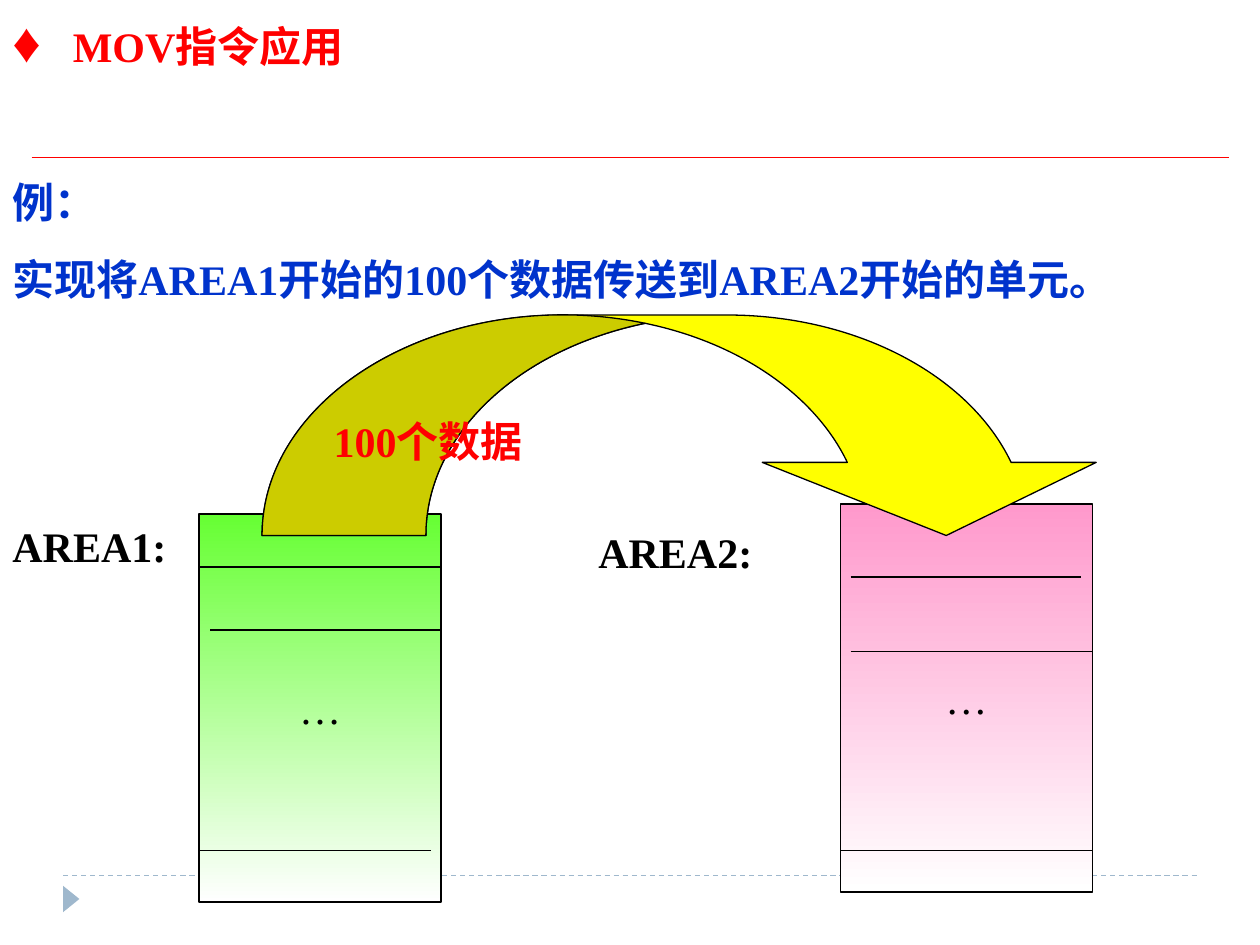
import math

from lxml import etree
from pptx import Presentation
from pptx.dml.color import RGBColor
from pptx.enum.dml import MSO_LINE
from pptx.enum.shapes import MSO_CONNECTOR, MSO_SHAPE
from pptx.enum.text import MSO_ANCHOR, MSO_AUTO_SIZE, PP_ALIGN
from pptx.oxml.ns import qn
from pptx.util import Inches, Pt

STRAIGHT = MSO_CONNECTOR.STRAIGHT
DASH = MSO_LINE.DASH
RECT = MSO_SHAPE.RECTANGLE
TRIANGLE = MSO_SHAPE.ISOSCELES_TRIANGLE
MIDDLE = MSO_ANCHOR.MIDDLE
FIT = MSO_AUTO_SIZE.SHAPE_TO_FIT_TEXT
CENTER = PP_ALIGN.CENTER
SERIF = "Times New Roman"
COLORS = {
    "black": "000000", "white": "FFFFFF", "red": "FF0000", "blue": "0033CC",
    "green": "66FF33", "pink": "FF99CC", "yellow": "FFFF00", "steel": "9FB8CD",
}


def rgb(name):
    return RGBColor.from_string(COLORS[name])


def add_run(p, text, color, bold=True, size=24, font=SERIF):
    r = p.add_run()
    r.text = text
    r.font.name = font
    r.font.size = Pt(size)
    r.font.bold = bold
    r.font.color.rgb = rgb(color)


def add_line(s, x1, y1, x2, y2, color="black", dash=None):
    c = s.shapes.add_connector(STRAIGHT, Inches(x1), Inches(y1), Inches(x2), Inches(y2))
    c.line.color.rgb = rgb(color)
    c.line.width = Pt(0.75)
    if dash:
        c.line.dash_style = dash
    etree.SubElement(c._element.spPr, qn("a:effectLst"))


def add_label(s, x, y, w, text, color="black"):
    sp = s.shapes.add_textbox(Inches(x), Inches(y), Inches(w), Inches(0.5))
    tf = sp.text_frame
    tf.word_wrap = False
    tf.auto_size = FIT
    add_run(tf.paragraphs[0], text, color)


def add_memory(s, x, y, w, h, color):
    sp = s.shapes.add_shape(RECT, Inches(x), Inches(y), Inches(w), Inches(h))
    sp.shadow.inherit = False
    sp.fill.gradient()
    sp.fill.gradient_angle = 270
    for stop, name in zip(sp.fill.gradient_stops, (color, "white")):
        stop.color.rgb = rgb(name)
    sp.line.color.rgb = rgb("black")
    sp.line.width = Pt(0.75)
    tf = sp.text_frame
    tf.word_wrap = False
    tf.vertical_anchor = MIDDLE
    p = tf.paragraphs[0]
    p.alignment = CENTER
    add_run(p, "…", "black", bold=False)


def arc(cx, cy, rx, ry, start, end):
    a, b = math.radians(start), math.radians(end)
    k = 4 / 3 * math.tan((b - a) / 4)
    unit = [(math.cos(a) - k * math.sin(a), math.sin(a) + k * math.cos(a)),
            (math.cos(b) + k * math.sin(b), math.sin(b) - k * math.cos(b)),
            (math.cos(b), math.sin(b))]
    return "cubicBezTo", [(cx + rx * u, cy - ry * v) for u, v in unit]


def add_path(path_list, left, top, w, h, steps, shade):
    path = etree.SubElement(path_list, qn("a:path"), w=str(w), h=str(h), fill=shade)
    for tag, points in steps:
        step = etree.SubElement(path, qn("a:" + tag))
        for x, y in points:
            etree.SubElement(step, qn("a:pt"), x=str(Inches(x) - left), y=str(Inches(y) - top))
    etree.SubElement(path, qn("a:close"))


def add_curved_arrow(s):
    left, right, top, base, head_y = 2.08, 8.7, 2.5, 4.25, 3.67
    inner, outer, rx, ry = 4.47, 5.77, 2.39, 1.75
    cross = math.degrees(math.acos((outer - inner) / 2 / rx))
    neck = math.degrees(math.asin((base - head_y) / ry))
    tail = ("moveTo", [(left, base)])
    neck_end = arc(inner, base, rx, ry, cross, neck)[1][-1]
    back = arc(outer, base, rx, ry, 180 - cross, 180)
    body = [tail, arc(inner, base, rx, ry, 180, 90), ("lnTo", [(outer, top)]),
            arc(outer, base, rx, ry, 90, neck)]
    body += [("lnTo", [pt]) for pt in
             ((right, head_y), (7.51, base), (6.05, head_y), neck_end)]
    body += [arc(inner, base, rx, ry, neck, cross), back]
    fold = [tail, arc(inner, base, rx, ry, 180, cross), back]

    corners = [(Inches(x), Inches(y)) for x, y in
               ((left, top), (right, top), (right, base), (left, base))]
    fb = s.shapes.build_freeform(*corners[0])
    fb.add_line_segments(corners[1:], close=True)
    sp = fb.convert_to_shape()
    path_list = sp._element.spPr.find(".//" + qn("a:pathLst"))
    path_list.remove(path_list[0])
    for steps, shade in ((body, "norm"), (fold, "darkenLess")):
        add_path(path_list, sp.left, sp.top, sp.width, sp.height, steps, shade)
    sp.shadow.inherit = False
    sp.fill.solid()
    sp.fill.fore_color.rgb = rgb("yellow")
    sp.line.color.rgb = rgb("black")
    sp.line.width = Pt(0.75)


def add_text(s):
    sp = s.shapes.add_textbox(0, 0, Inches(9.75), Inches(3.07))
    tf = sp.text_frame
    tf.word_wrap = True
    p = tf.paragraphs[0]
    tabs = etree.SubElement(p._p.get_or_add_pPr(), qn("a:tabLst"))
    etree.SubElement(tabs, qn("a:tab"), pos=str(Inches(0.48)), algn="l")
    add_run(p, "♦", "red", size=32, font="Arial")
    add_run(p, "\tMOV指令应用", "red")
    for text, before in (("例：", 59), ("实现将AREA1开始的100个数据传送到AREA2开始的单元。", 15)):
        p = tf.add_paragraph()
        p.space_before = Pt(before)
        add_run(p, text, "blue")


def add_frame(s):
    add_line(s, 0.5, 6.95, 9.5, 6.95, "steel", DASH)
    sp = s.shapes.add_shape(TRIANGLE, Inches(0.46), Inches(7.07), Inches(0.21), Inches(0.13))
    sp.rotation = 90
    sp.shadow.inherit = False
    sp.fill.solid()
    sp.fill.fore_color.rgb = rgb("steel")
    sp.line.fill.background()
    add_line(s, 0.25, 1.25, 9.75, 1.25, "red")


def main():
    prs = Presentation()
    prs.slide_width, prs.slide_height = Inches(10), Inches(7.5)
    s = prs.slides.add_slide(prs.slide_layouts[6])
    add_frame(s)
    add_text(s)
    add_memory(s, 1.58, 4.08, 1.92, 3.08, "green")
    add_memory(s, 6.67, 4, 2, 3.08, "pink")
    add_label(s, 0, 4.08, 1.42, "AREA1:")
    add_label(s, 4.65, 4.13, 1.42, "AREA2:")
    for x1, x2, y in ((1.58, 3.5, 4.5), (1.67, 3.5, 5), (1.58, 3.42, 6.75),
                      (6.75, 8.58, 4.58), (6.75, 8.67, 5.17), (6.67, 8.67, 6.75)):
        add_line(s, x1, y, x2, y)
    add_curved_arrow(s)
    add_label(s, 2.55, 3.25, 1.78, "100个数据", "red")
    prs.save("out.pptx")


if __name__ == "__main__":
    main()
